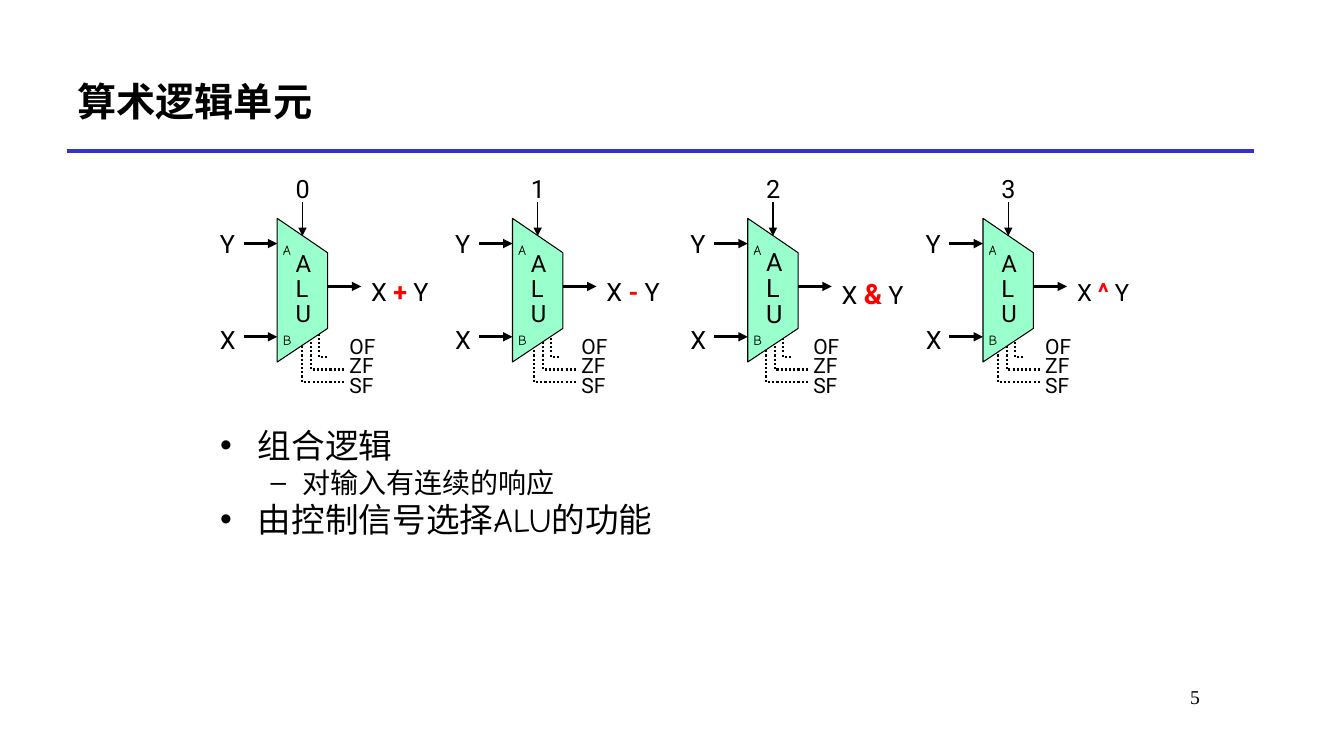
import pptx
import pptx.util
import pptx.dml.color
import pptx.enum.dml
import pptx.enum.shapes
import pptx.enum.text
import pptx.oxml.ns
import lxml.etree

C = {"ink": "000000", "rule": "3333CC", "alu": "99FFCC", "op": "FF0000"}
CJK, SANS, COMIC = "Noto Sans CJK SC", "Roboto", "Comic Neue"
qn = pptx.oxml.ns.qn
rgb = pptx.dml.color.RGBColor.from_string
fit = pptx.enum.text.MSO_AUTO_SIZE

prs = pptx.Presentation()
prs.slide_width = pptx.util.Inches(13.33)
prs.slide_height = pptx.util.Inches(7.5)
U = prs.slide_height / 90
s = prs.slides.add_slide(prs.slide_layouts[1])


def text(paras, at, sp=None, size=18, font=SANS, color="ink", bold=False,
         inset=1.2, wrap=False, align="LEFT", anchor="TOP", spacing=1.0, before=0.2):
    box = [round(v * U) for v in at]
    sp = sp or s.shapes.add_textbox(*box)
    sp.left, sp.top, sp.width, sp.height = box
    tf = sp.text_frame
    tf.word_wrap = wrap
    tf.auto_size = fit.NONE if wrap else fit.SHAPE_TO_FIT_TEXT
    tf.margin_left = tf.margin_right = round(inset * U)
    tf.margin_top = tf.margin_bottom = round(0.6 * U)
    tf.vertical_anchor = getattr(pptx.enum.text.MSO_ANCHOR, anchor)
    for i, runs in enumerate(paras):
        p = tf.add_paragraph() if i else tf.paragraphs[0]
        p.alignment = getattr(pptx.enum.text.PP_ALIGN, align)
        p.line_spacing = spacing
        p.space_before = pptx.util.Pt(size * before)
        for words, own in runs:
            f = {"size": size, "font": font, "color": color, "bold": bold, **own}
            r = p.add_run()
            r.text = words
            r.font.size = pptx.util.Pt(f["size"])
            r.font.bold = f["bold"]
            r.font.name = f["font"]
            r.font.color.rgb = rgb(C[f["color"]])
            lxml.etree.SubElement(r.font._element, qn("a:ea"), typeface=f["font"])
    return tf


def line(x1, y1, x2, y2, width, color="ink", arrow=True):
    ends = [round(v * U) for v in (x1, y1, x2, y2)]
    cn = s.shapes.add_connector(pptx.enum.shapes.MSO_CONNECTOR.STRAIGHT, *ends)
    cn.line.width = pptx.util.Pt(width)
    cn.line.color.rgb = rgb(C[color])
    if arrow:
        lxml.etree.SubElement(cn.line._get_or_add_ln(), qn("a:tailEnd"), type="triangle")
    lxml.etree.SubElement(cn._element.spPr, qn("a:effectLst"))


line(8, 18, 149.3, 18, 3, color="rule", arrow=False)
text([[("算术逻辑单元", {})]], (8, 6, 141.3, 12), sp=s.shapes.title, size=28, font=CJK,
     bold=True, wrap=True, anchor="MIDDLE", before=0)

tf = text([[("组合逻辑", {})],
           [("对输入有连续的响应", {"size": 20})],
           [("由控制信号选择", {}), ("ALU", {"font": COMIC}), ("的功能", {})]],
          (25, 50, 103.7, 36), sp=s.placeholders[1], size=24, font=CJK, wrap=True, before=0)
for p, level in zip(tf.paragraphs, (0, 1, 0)):
    p.level = level
    margin, hang, bullet = ((4.5, 4.5, "•"), (9.75, 3.75, "–"))[level]
    pPr = p._p.get_or_add_pPr()
    pPr.set("marL", str(round(margin * U)))
    pPr.set("indent", str(round(-hang * U)))
    lxml.etree.SubElement(pPr, qn("a:buChar"), char=bullet)

units = [("+", 10.3, 18, 18, 17), ("-", 9.2, 18, 18, 17),
         ("&", 10.7, 18, 20, 18), ("^", 10, 17, 18, 17)]
for i, (op, op_width, xy_size, op_size, alu_size) in enumerate(units):
    x = 25 + 28 * i
    fx = 36 + 27.6 * i
    outlines = [([(fx + 2 - k, 37.7 + 1.5 * k), (fx + 2 - k, 42.5 + 1.5 * k),
                  (fx + reach, 42.5 + 1.5 * k)], False)
                for k, reach in enumerate((3.2, 5, 5))]
    outlines.append(([(x + 8, 26), (x + 14, 30.1), (x + 14, 39.1), (x + 8, 43.1)], True))
    for points, body in outlines:
        pts = [(round(a * U), round(b * U)) for a, b in points]
        fb = s.shapes.build_freeform(*pts[0])
        fb.add_line_segments(pts[1:], close=body)
        sp = fb.convert_to_shape()
        sp.shadow.inherit = False
        sp.line.color.rgb = rgb(C["ink"])
        sp.line.width = pptx.util.Pt(0.75 if body else 1.5)
        if body:
            sp.fill.solid()
            sp.fill.fore_color.rgb = rgb(C["alu"])
        else:
            sp.fill.background()
            sp.line.dash_style = pptx.enum.dml.MSO_LINE.ROUND_DOT

    for k, (flag, width) in enumerate((("OF", 4.8), ("ZF", 4.3), ("SF", 4.6))):
        text([[(flag, {})]], (fx + 5, 39.1 + 2.3 * k, width, 4.3), size=15, inset=0.6)

    for x1, y1, x2, y2, width in ((4, 29, 8, 29, 2.25), (11, 24.1, 11, 28.1, 0.75),
                                  (4, 40.1, 8, 40.1, 2.25), (14, 34.1, 18, 34.1, 2.25)):
        line(x + x1, y1, x + x2, y2, width)

    alu_top = 30 if alu_size == 17 else 29.7
    text([[(c, {})] for c in "ALU"], (x + 9, alu_top, 5, 40 - alu_top),
         size=alu_size, wrap=True, spacing=0.7)
    for label, dx, y, width, height, size, font in (
            ("Y", 0, 26.6, 4.6, 4.9, 18, SANS), ("X", 0, 38, 4.7, 4.9, 18, SANS),
            (str(i), 9, 20, 4.2, 4.9, 18, SANS),
            ("A", 7.5, 28.1, 3.8, 3.2, 10, COMIC), ("B", 7.5, 38.9, 3.6, 3.2, 10, COMIC)):
        text([[(label, {})]], (x + dx, y, width, height), size=size, font=font)
    text([[("X ", {}), (op, {"size": op_size, "color": "op", "bold": True}), (" Y", {})]],
         (x + 18, 32.3, op_width, 4.9), size=xy_size)

text([[("5", {})]], (121.3, 81, 22.7, 6), size=14, font="Times New Roman",
     wrap=True, align="RIGHT", before=0)

prs.save("out.pptx")
